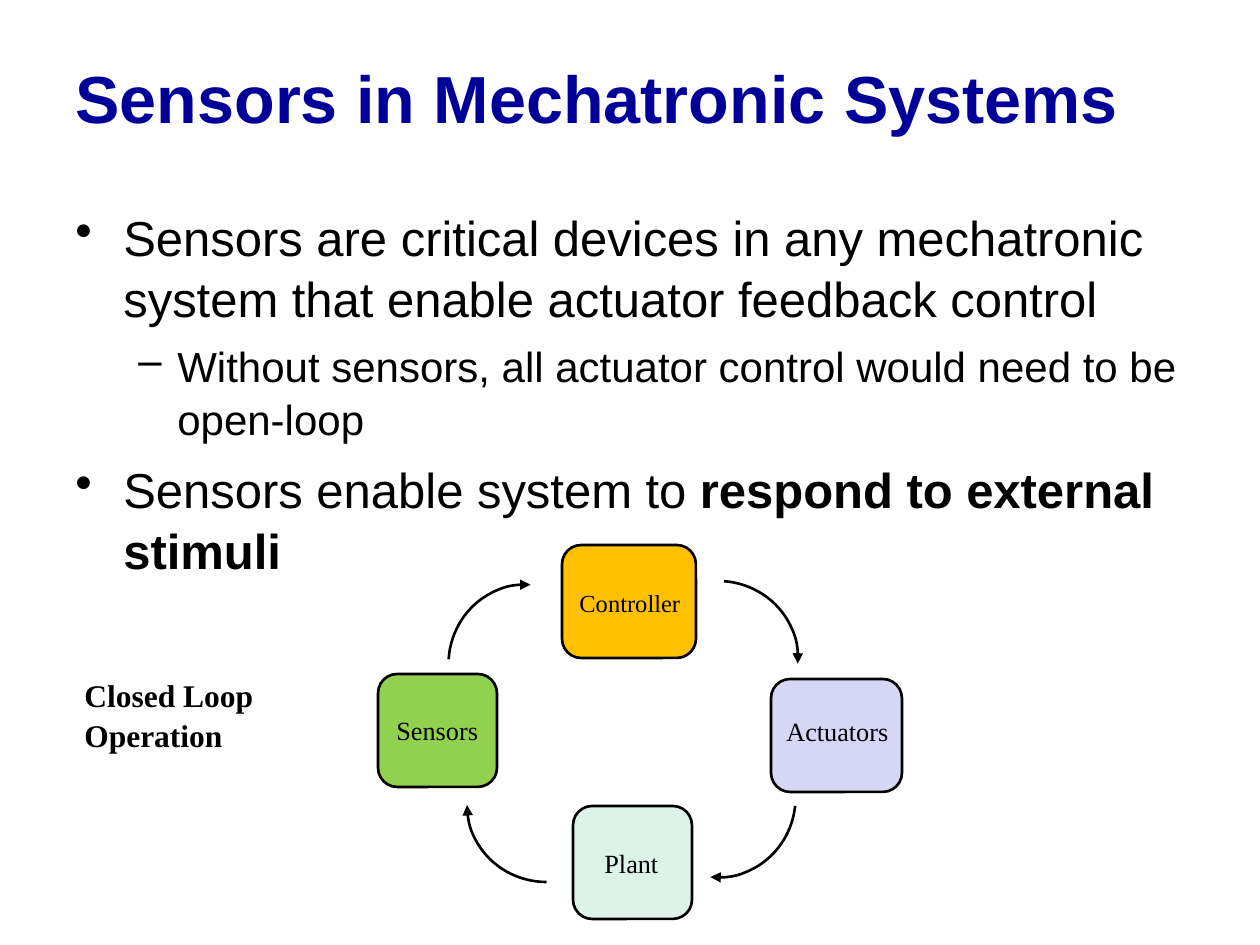
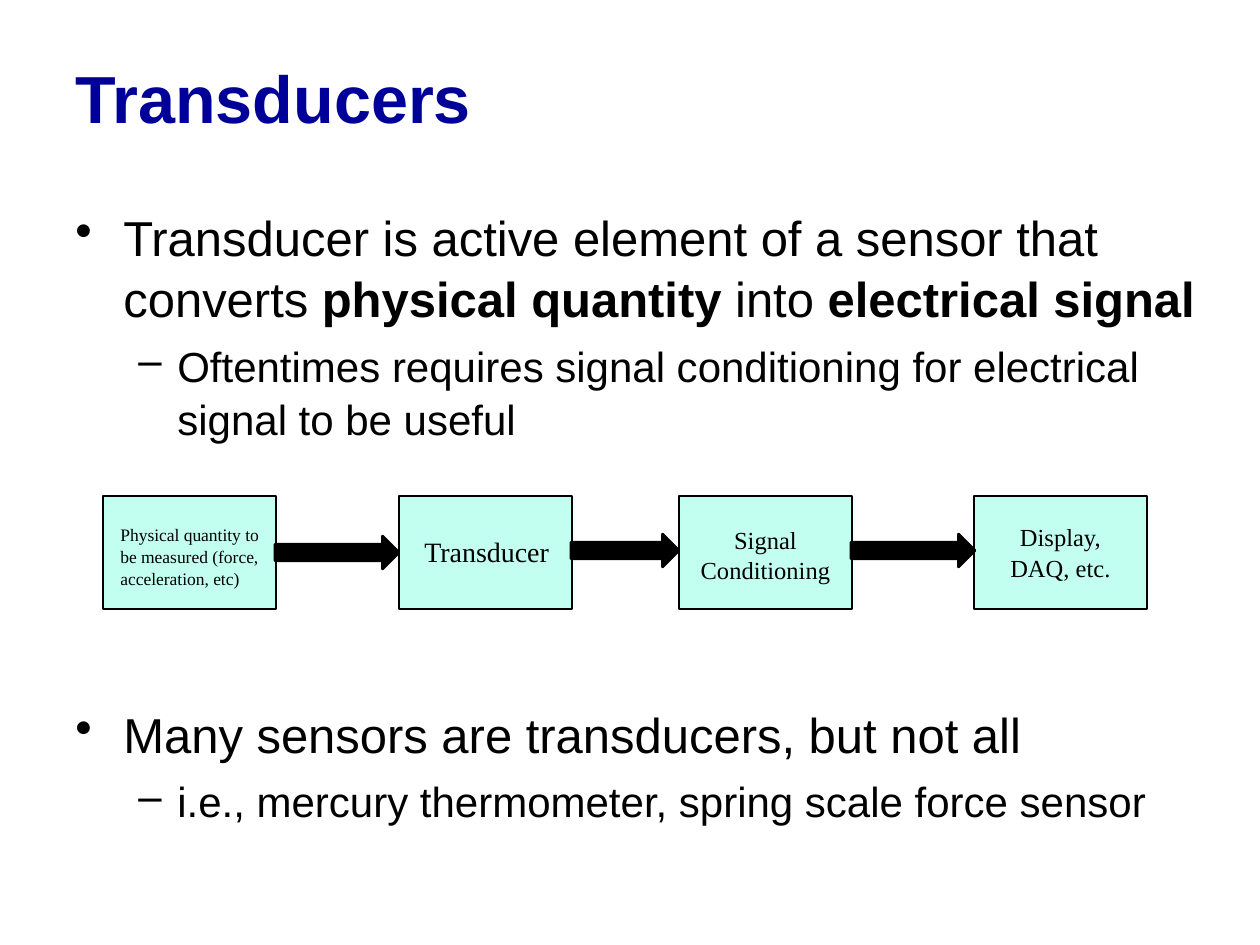
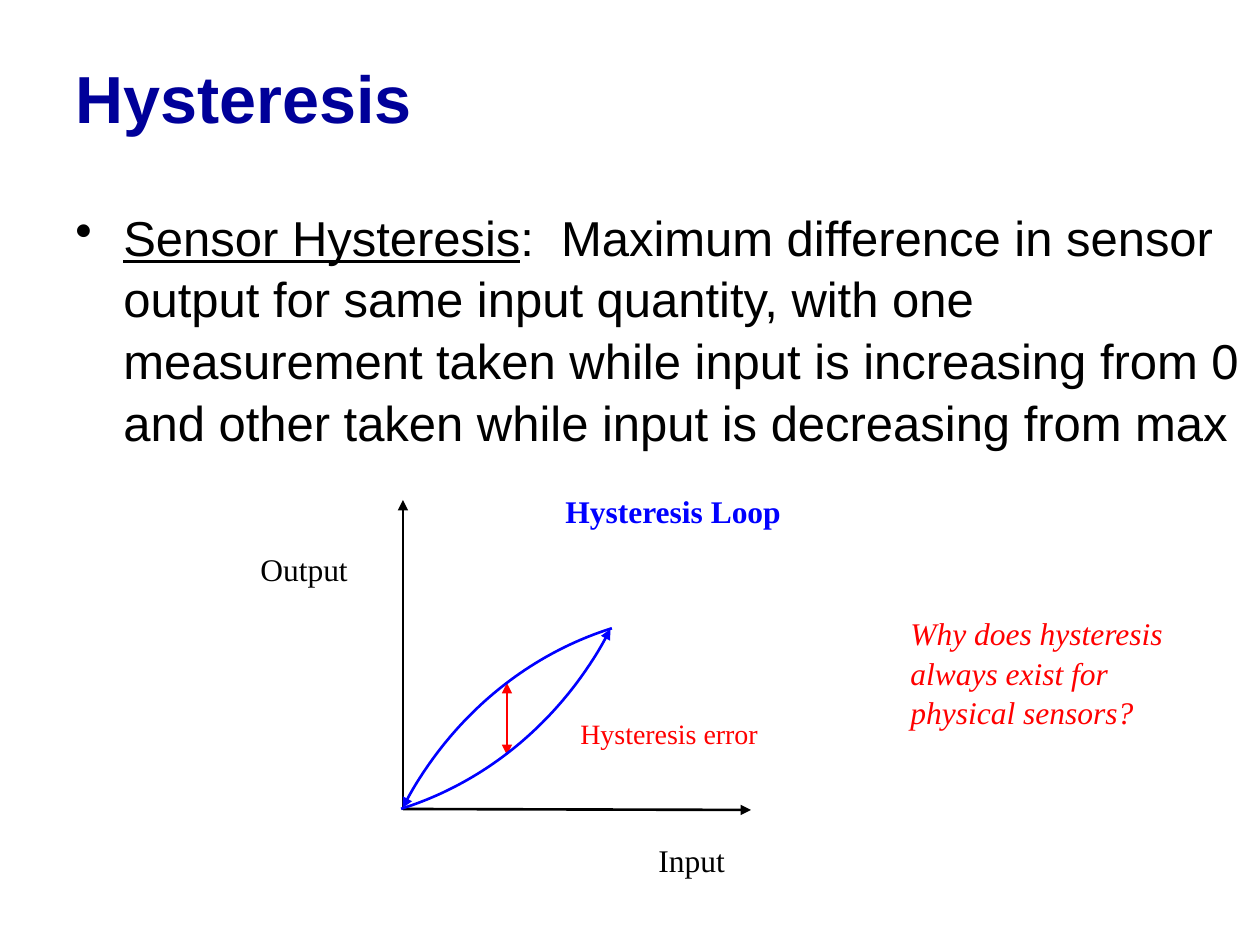
from lxml import etree
from pptx import Presentation
from pptx.dml.color import RGBColor
from pptx.enum.shapes import MSO_CONNECTOR, MSO_SHAPE as Shape
from pptx.enum.text import MSO_ANCHOR, PP_ALIGN as Align
from pptx.oxml.ns import qn
from pptx.util import Emu, Pt

BLACK = RGBColor(0x00, 0x00, 0x00)
NAVY = RGBColor(0x00, 0x00, 0x99)
BLUE = RGBColor(0x00, 0x00, 0xFF)
RED = RGBColor(0xFF, 0x00, 0x00)
AMBER = RGBColor(0xFF, 0xC0, 0x00)
GREEN = RGBColor(0x92, 0xD0, 0x50)
LAVENDER = RGBColor(0xD6, 0xD6, 0xF5)
MINT = RGBColor(0xDD, 0xF3, 0xEA)
AQUA = RGBColor(0xC2, 0xFF, 0xF0)

SANS, SERIF = "Arial", "Times New Roman"
SCALE = 914400 / 126
LINE_SPACING = 1.05
TITLE_BOX = (63, 32, 1130, 126)
BODY_BOX = (63, 198, 1200, 683)
# Per level: bullet, left margin, hanging indent, text size, space before
LEVELS = [("•", 48, 48, 28, 7), ("–", 102, 39, 24, 6)]


def px(*lengths):
    return [Emu(round(length * SCALE)) for length in lengths]


def add_text(slide, box, text, size, color=BLACK, font=SERIF, bold=False, italic=False, align=Align.LEFT):
    frame = slide.shapes.add_textbox(*px(*box)).text_frame
    frame.word_wrap = True
    frame.text = text
    para = frame.paragraphs[0]
    para.alignment = align
    para.line_spacing = LINE_SPACING
    for span in para.runs:
        span.font.name, span.font.size = font, Pt(size)
        span.font.bold, span.font.italic = bold, italic
        span.font.color.rgb = color
    return frame


deck = Presentation()
deck.slide_width, deck.slide_height = px(1260, 945)

# Titles and bullets: (level, space before or None, [(text, style)])
contents = [
    ("Sensors in Mechatronic Systems", [
        (0, 0, [("Sensors are critical devices in any mechatronic system that enable "
                 "actuator feedback control", "")]),
        (1, None, [("Without sensors, all actuator control would need to be open-loop", "")]),
        (0, None, [("Sensors enable system to ", ""), ("respond to external stimuli", "bold")]),
    ]),
    ("Transducers", [
        (0, 0, [("Transducer is active element of a sensor that converts ", ""),
                ("physical quantity", "bold"), (" into ", ""), ("electrical signal", "bold")]),
        (1, None, [("Oftentimes requires signal conditioning for electrical signal to be useful", "")]),
        (0, 147, [("Many sensors are transducers, but not all", "")]),
        (1, None, [("i.e., mercury thermometer, spring scale force sensor", "")]),
    ]),
    ("Hysteresis", [
        (0, 0, [("Sensor Hysteresis", "underline"),
                (":  Maximum difference in sensor output for same input quantity, with one "
                 "measurement taken while input is increasing from 0 and other taken while "
                 "input is decreasing from max", "")]),
    ]),
]
slides = []
for title, bullets in contents:
    slide = deck.slides.add_slide(deck.slide_layouts[6])
    slides.append(slide)
    title_frame = add_text(slide, TITLE_BOX, title, 38, NAVY, SANS, bold=True)
    title_frame.vertical_anchor = MSO_ANCHOR.MIDDLE

    body = slide.shapes.add_textbox(*px(*BODY_BOX)).text_frame
    body.word_wrap = True
    for index, (level, space, spans) in enumerate(bullets):
        mark, margin, hanging, size, usual_space = LEVELS[level]
        para = body.add_paragraph() if index else body.paragraphs[0]
        props = para._p.get_or_add_pPr()
        props.set("marL", str(px(margin)[0]))
        props.set("indent", str(px(-hanging)[0]))
        etree.SubElement(props, qn("a:buChar")).set("char", mark)
        para.level = level
        para.line_spacing = LINE_SPACING
        para.space_before = Pt(usual_space if space is None else space)
        for text, style in spans:
            span = para.add_run()
            span.text = text
            span.font.name, span.font.size = SANS, Pt(size)
            span.font.color.rgb = BLACK
            span.font.bold = style == "bold"
            span.font.underline = style == "underline"

loop_slide, chain_slide, hysteresis_slide = slides
arrows = []  # (shape, color, arrow ends)

# Closed loop: boxes, then their labels
for box, color in [((378, 674, 119, 113), GREEN), ((562, 545, 134, 113), AMBER),
                   ((771, 679, 131, 113), LAVENDER), ((573, 806, 119, 113), MINT)]:
    stage = loop_slide.shapes.add_shape(Shape.ROUNDED_RECTANGLE, *px(*box))
    stage.shadow.inherit = False
    stage.adjustments[0] = 0.17
    stage.fill.solid()
    stage.fill.fore_color.rgb = color
    stage.line.color.rgb = BLACK
    stage.line.width = Pt(1.5)
for box, text, size in [((384, 707, 119, 44), "Sensors", 15), ((567, 580, 130, 43), "Controller", 14),
                        ((774, 708, 135, 44), "Actuators", 15), ((592, 840, 119, 44), "Plant", 15)]:
    add_text(loop_slide, box, text, size)
add_text(loop_slide, (72, 668, 244, 88), "Closed Loop Operation", 18, bold=True)

# Quarter arcs around the loop
for left, top, rotation in [(446, 587, 273.6), (639, 581, 4.1), (639, 721, 95.9), (467, 728, 180)]:
    arc = loop_slide.shapes.add_shape(Shape.ARC, *px(left, top, 159, 154))
    arc.rotation = rotation
    arrows.append((arc, BLACK, ["tailEnd"]))

# Measurement chain: boxes, block arrows, labels
chain = [(Shape.RECTANGLE, (left, 496, 173, 113), AQUA) for left in (103, 399, 679, 974)]
chain += [(Shape.RIGHT_ARROW, (left, top, width, 33), BLACK)
          for left, top, width in [(275, 536, 124), (571, 534, 108), (851, 534, 124)]]
for kind, box, color in chain:
    part = chain_slide.shapes.add_shape(kind, *px(*box))
    part.shadow.inherit = False
    part.fill.solid()
    part.fill.fore_color.rgb = color
    part.line.color.rgb = BLACK
    part.line.width = Pt(1.5)
for box, text, size, align in [
        ((108, 517, 181, 76), "Physical quantity to be measured (force, acceleration, etc)", 10, Align.LEFT),
        ((412, 527, 152, 47), "Transducer", 16, Align.LEFT),
        ((684, 517, 163, 72), "Signal Conditioning", 14, Align.CENTER),
        ((979, 514, 163, 72), "Display, DAQ, etc.", 14, Align.CENTER)]:
    add_text(chain_slide, box, text, size, align=align)

# Hysteresis graph: axes and error span
for ends, color, heads in [((403, 809, 751, 810), BLACK, ["tailEnd"]),
                           ((403, 810, 403, 500), BLACK, ["tailEnd"]),
                           ((507, 683, 507, 755), RED, ["headEnd", "tailEnd"])]:
    line = hysteresis_slide.shapes.add_connector(MSO_CONNECTOR.STRAIGHT, *px(*ends))
    etree.SubElement(line._element.spPr, qn("a:effectLst"))
    arrows.append((line, color, heads))

# Hysteresis graph: both branches of the loop, angles in units of 100000/60000 degree
for left, top, rotation in [(333, 639, 275.9), (-62, 108, 95.9)]:
    branch = hysteresis_slide.shapes.add_shape(Shape.ARC, *px(left, top, 742, 690))
    branch.adjustments[0] = 294.4 * 0.6
    branch.adjustments[1] = 339.6 * 0.6
    branch.rotation = rotation
    arrows.append((branch, BLUE, ["headEnd"]))

# Hysteresis graph: labels
for box, text, size, color, bold, italic in [
        ((568, 709, 226, 47), "Hysteresis error", 16, RED, False, False),
        ((646, 833, 217, 50), "Input", 18, BLACK, False, False),
        ((248, 542, 217, 50), "Output", 18, BLACK, False, False),
        ((553, 484, 276, 50), "Hysteresis Loop", 18, BLUE, True, False),
        ((898, 606, 333, 126), "Why does hysteresis always exist for physical sensors?", 18, RED, False, True)]:
    add_text(hysteresis_slide, box, text, size, color, bold=bold, italic=italic)

# Line style and arrowheads
for shape, color, heads in arrows:
    shape.line.color.rgb = color
    shape.line.width = Pt(1.5)
    outline = shape._element.spPr.find(qn("a:ln"))
    for head in heads:
        etree.SubElement(outline, qn("a:" + head)).set("type", "triangle")
    if shape.shape_type != 9 and hasattr(shape, "fill"):
        shape.fill.background()
        shape.shadow.inherit = False

deck.save("out.pptx")
